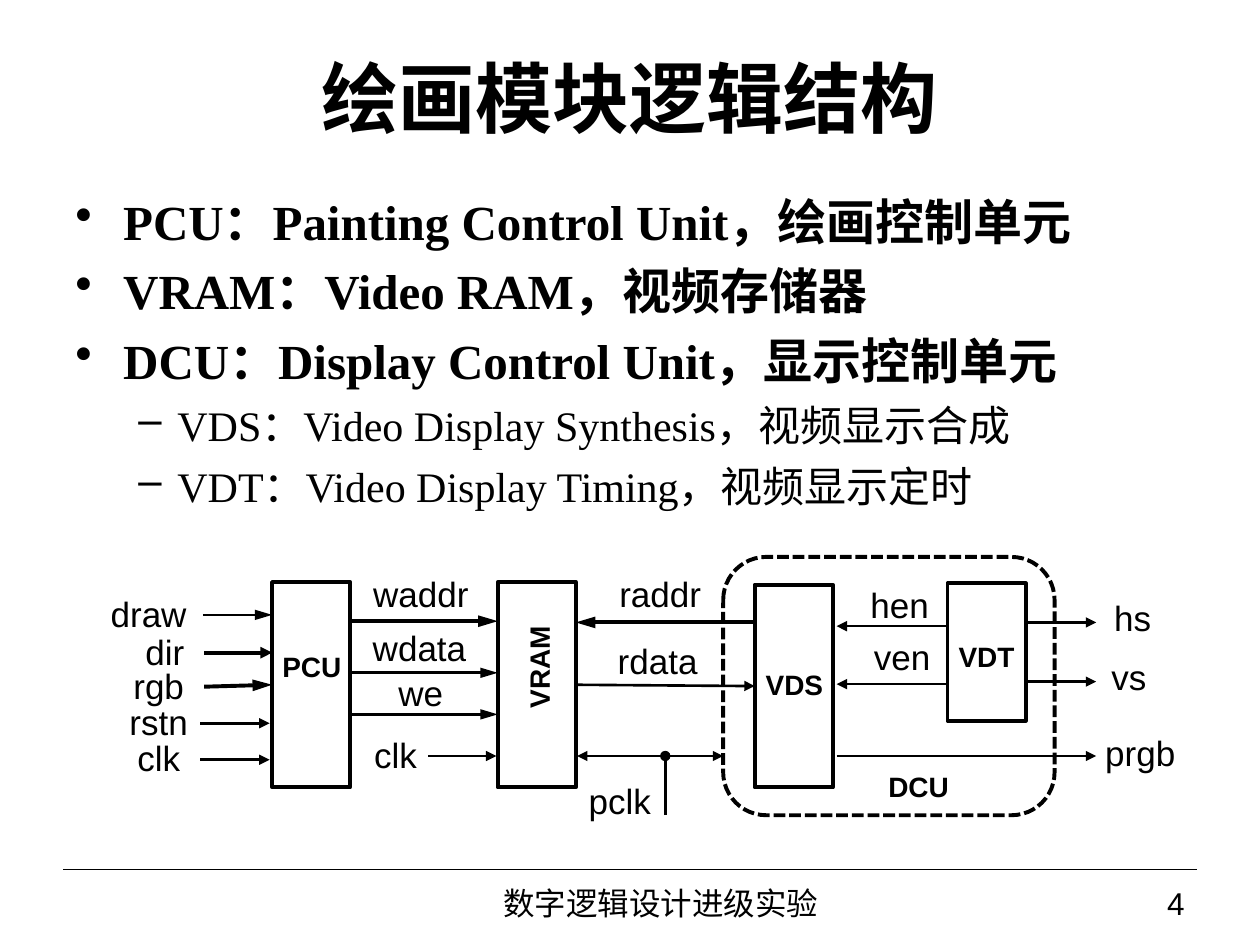
import pptx
import pptx.util
import pptx.dml.color
import pptx.enum.dml
import pptx.enum.shapes
import pptx.enum.text
import lxml.etree

Pt = pptx.util.Pt
Align = pptx.enum.text.PP_ALIGN
Anchor = pptx.enum.text.MSO_ANCHOR
Kind = pptx.enum.shapes.MSO_SHAPE
HEX = {"ink": "000000"}
INK = pptx.dml.color.RGBColor.from_string(HEX["ink"])
A = "{http://schemas.openxmlformats.org/drawingml/2006/main}"

deck = pptx.Presentation()
deck.slide_width = pptx.util.Inches(10)
deck.slide_height = pptx.util.Inches(7.5)
slide = deck.slides.add_slide(deck.slide_layouts[6])
shapes = slide.shapes

# Grid: 100 columns by 75 rows of square cells
cell = deck.slide_width / 100


def write(words, left, top, wide, high, size, font="Arial", bold=False,
          align=Align.CENTER, wrap=True):
    box = shapes.add_textbox(*[round(n * cell) for n in (left, top, wide, high)])
    frame = box.text_frame
    frame.word_wrap = wrap
    frame.vertical_anchor = Anchor.MIDDLE
    if not wrap:
        frame.margin_left = frame.margin_right = 0
        frame.margin_top = frame.margin_bottom = 0
    para = frame.paragraphs[0]
    para.text = words
    para.alignment = align
    para.font.size, para.font.name, para.font.bold = Pt(size), font, bold
    para.font.color.rgb = INK
    return box


def wire(x1, y1, x2, y2, width=1.5, head=None, tail=None, long=False):
    link = shapes.add_connector(pptx.enum.shapes.MSO_CONNECTOR.STRAIGHT,
                                *[round(n * cell) for n in (x1, y1, x2, y2)])
    link.line.color.rgb = INK
    link.line.width = Pt(width)
    for end, mark in (("headEnd", head), ("tailEnd", tail)):
        if mark:
            lxml.etree.SubElement(link.line._get_or_add_ln(), A + end, type=mark,
                                  w="med", len="lg" if long else "med")
    lxml.etree.SubElement(link._element.spPr, A + "effectLst")
    return link


# Title and footer
write("绘画模块逻辑结构", 5, 3, 90, 9.3, 44, "Times New Roman", True)
wire(5, 69, 95, 69, 0.75)
write("数字逻辑设计进级实验", 28.3, 69.8, 48.3, 3.7, 18)
write("4", 77.5, 69.8, 17.5, 3.7, 18, align=Align.RIGHT)

# Bulleted terms: level, text
terms = [
    (0, "PCU：Painting Control Unit，绘画控制单元"),
    (0, "VRAM：Video RAM，视频存储器"),
    (0, "DCU：Display Control Unit，显示控制单元"),
    (1, "VDS：Video Display Synthesis，视频显示合成"),
    (1, "VDT：Video Display Timing，视频显示定时"),
]
styles = [("•", 28, True, 3.8, 3.8), ("–", 24, False, 8.1, 3.1)]
box = shapes.add_textbox(*[round(n * cell) for n in (5, 14.7, 87.3, 30.4)])
frame = box.text_frame
frame.word_wrap = True
for i, (level, words) in enumerate(terms):
    mark, size, bold, margin, hang = styles[level]
    para = frame.paragraphs[0] if i == 0 else frame.add_paragraph()
    para.text = words
    para.level = level
    para.space_after = Pt(6)
    para.font.name, para.font.size, para.font.bold = "Times New Roman", Pt(size), bold
    para.font.color.rgb = INK
    props = para._p.get_or_add_pPr()
    props.set("marL", str(round(margin * cell)))
    props.set("indent", str(round(-hang * cell)))
    bullet = lxml.etree.Element(A + "buChar", char=mark)
    props.insert(list(props).index(props.find(A + "defRPr")), bullet)

# Blocks: left, top, width, height, label centre, label turn
blocks = {
    "PCU": (21.6, 46.2, 6.2, 16.3, 24.75, 52.9, 0),
    "VRAM": (39.5, 46.2, 6.2, 16.3, 42.75, 52.95, 270),
    "VDS": (59.9, 46.4, 6.2, 16.1, 63.05, 54.3, 0),
    "VDT": (75.2, 46.3, 6.2, 10.9, 78.3, 52.1, 0),
    "DCU": (57.4, 44.2, 26.3, 20.5, 72.9, 62.4, 0),
}
made = {}
for name, (left, top, wide, high, x, y, turn) in blocks.items():
    kind = Kind.ROUNDED_RECTANGLE if name == "DCU" else Kind.RECTANGLE
    block = shapes.add_shape(kind, *[round(n * cell) for n in (left, top, wide, high)])
    block.shadow.inherit = False
    block.fill.background()
    block.line.color.rgb = INK
    block.line.width = Pt(2.25)
    if name == "DCU":
        block.line.dash_style = pptx.enum.dml.MSO_LINE.SQUARE_DOT
    made[name] = block
    write(name, x - 4, y - 1.3, 8, 2.6, 16, bold=True, wrap=False).rotation = turn

# Signal names by centre
names = [
    ("draw", 11.8, 48.7), ("dir", 13.1, 51.7), ("rgb", 12.6, 54.4),
    ("rstn", 12.6, 57.3), ("clk", 12.6, 60.1),
    ("waddr", 33.4, 47.1), ("wdata", 33.3, 51.4), ("we", 33.4, 55),
    ("clk", 31.4, 59.9), ("raddr", 52.4, 47.1), ("rdata", 52.2, 52.4),
    ("pclk", 49.2, 63.5), ("hen", 71.4, 48), ("ven", 71.6, 52.1),
    ("hs", 89.9, 49), ("vs", 89.6, 53.7), ("prgb", 90.5, 59.7),
]
for words, x, y in names:
    write(words, x - 4, y - 1.65, 8, 3.3, 20, wrap=False)

# Arrows to the right: start, end, row, width, long head
for x1, x2, y, width, long in [
    (16.1, 21.6, 48.8, 1.5, True), (16.2, 21.6, 51.8, 2.25, False),
    (15.9, 21.4, 57.4, 1.5, False), (15.9, 21.4, 60.3, 1.5, False),
    (27.8, 39.5, 49.3, 2.25, True), (27.8, 39.5, 53.4, 1.5, True),
    (27.8, 39.5, 56.7, 1.5, True), (34, 39.4, 60, 1.5, False),
    (81.5, 87, 49.4, 1.5, False), (81.5, 87, 54.1, 1.5, False),
    (66.4, 87, 60, 1.5, False),
]:
    wire(x1, y, x2, y, width, tail="triangle", long=long)

# Arrows to the left
wire(45.7, 49.4, 59.8, 49.4, 2.25, head="triangle", long=True)
wire(66.4, 49.7, 75.2, 49.7, head="triangle")
wire(66.4, 54.3, 75.2, 54.3, head="triangle")

# Arrows joined at the middle of a side
wire(16.2, 54.5, 21.6, 54.5, 2.25, tail="triangle",
     long=True).end_connect(made["PCU"], 1)
rdata = wire(45.7, 54.5, 59.9, 54.5, tail="triangle")
rdata.begin_connect(made["VRAM"], 3)
rdata.end_connect(made["VDS"], 1)

# Pixel clock with its tap
wire(45.8, 60, 57.4, 60, head="triangle", tail="triangle")
wire(52.8, 64.7, 52.8, 60, tail="oval")

deck.save("out.pptx")
